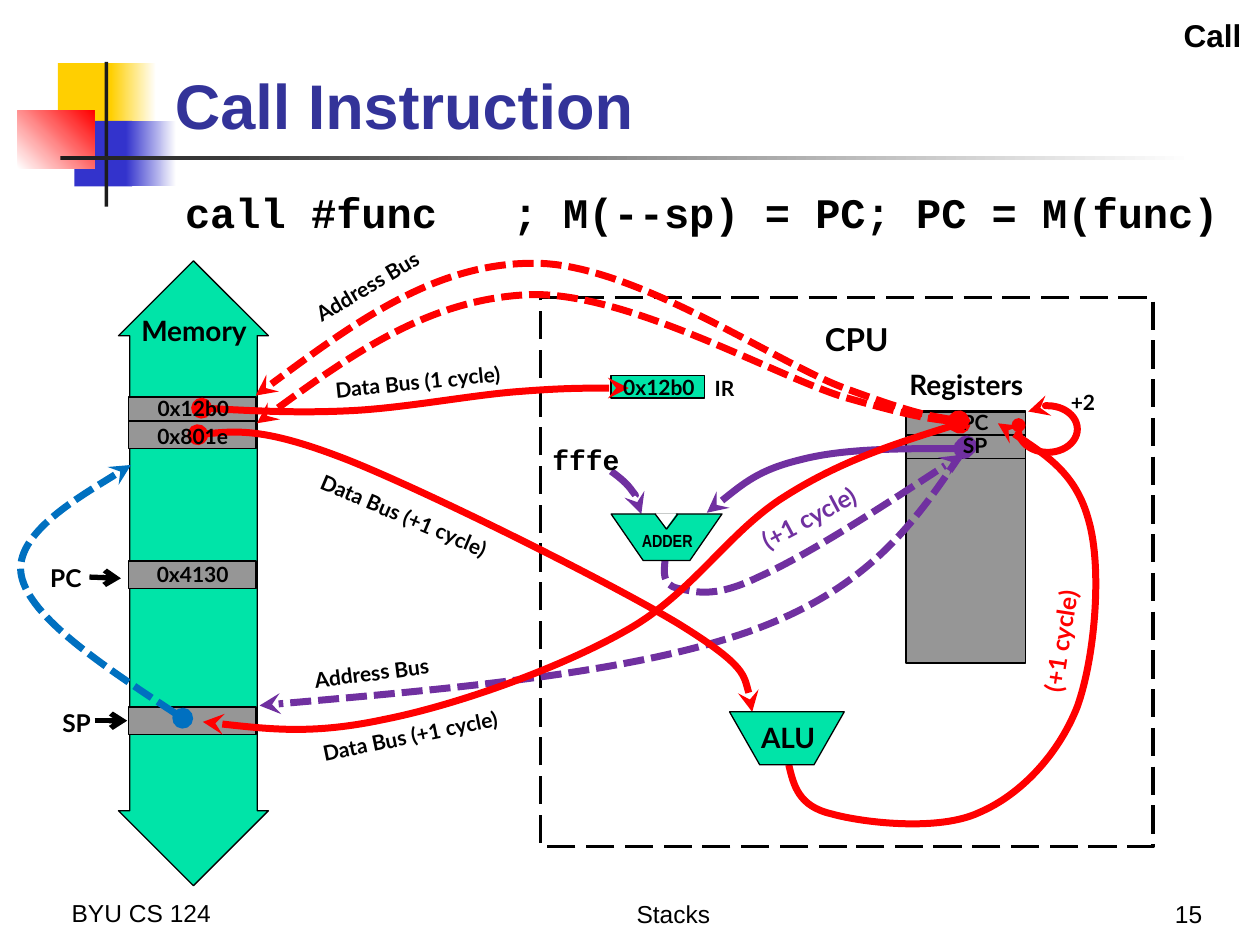
"""Build the Call Instruction slide with its memory and CPU bus diagram."""
from lxml.etree import SubElement
from pptx import Presentation
from pptx.dml.color import RGBColor
from pptx.enum.dml import MSO_LINE
from pptx.enum.shapes import MSO_CONNECTOR, MSO_SHAPE
from pptx.enum.text import MSO_ANCHOR, PP_ALIGN
from pptx.oxml.ns import qn
from pptx.util import Inches, Pt

BLACK = RGBColor(0x00, 0x00, 0x00)
WHITE = RGBColor(0xFF, 0xFF, 0xFF)
CHARCOAL = RGBColor(0x1C, 0x1C, 0x1C)
GRAY = RGBColor(0x96, 0x96, 0x96)
GREEN = RGBColor(0x00, 0xE4, 0xA8)
RED = RGBColor(0xFF, 0x00, 0x00)
PURPLE = RGBColor(0x70, 0x30, 0xA0)
BLUE = RGBColor(0x00, 0x70, 0xC0)
INDIGO = RGBColor(0x33, 0x33, 0xCC)
TITLE_BLUE = RGBColor(0x33, 0x33, 0x99)
YELLOW = RGBColor(0xFF, 0xCF, 0x01)

LEFT, CENTER, RIGHT = PP_ALIGN.LEFT, PP_ALIGN.CENTER, PP_ALIGN.RIGHT
RECT = MSO_SHAPE.RECTANGLE

DECORATION = [
    ((0.46, 0.5, 0.48, 0.52), (YELLOW,), 0),
    ((0.88, 0.5, 0.36, 0.52), (YELLOW, WHITE), 0),
    ((0.59, 0.96, 0.46, 0.52), (INDIGO,), 0),
    ((1, 0.96, 0.4, 0.52), (INDIGO, WHITE), 0),
    ((0.14, 0.88, 0.61, 0.46), (WHITE, RED), 45),
    ((0.83, 0.49, 0.03, 1.15), (CHARCOAL,), 0),
    ((0.48, 1.24, 9, 0.03), (CHARCOAL, WHITE), 0),
]

MEMORY_CELLS = [(3.15, 0.19), (3.34, 0.22), (4.45, 0.22), (5.61, 0.22)]
REGISTER_CELLS = [(3.26, 2), (3.27, 0.19), (3.45, 0.19)]

POINTERS = [((0.71, 4.58), (0.96, 4.59)), ((0.75, 5.72), (1.01, 5.72))]
NOTCH_EDGES = [((5.38, 4.08), (5.29, 4.2)), ((5.2, 4.08), (5.29, 4.2))]

DATA_CURVES = [
    (RED, False, True, [(1.6, 3.24), (1.99, 3.26), (2.37, 3.28), (2.78, 3.26), (3.2, 3.24),
                        (3.72, 3.14), (4.09, 3.11), (4.46, 3.08), (4.72, 3.08), (4.99, 3.08)]),
    (PURPLE, False, True, [(7.65, 3.56), (7.17, 3.56), (6.69, 3.56), (6.35, 3.65),
                           (6.02, 3.73), (5.82, 3.9), (5.61, 4.07)]),
    (PURPLE, False, False, [(4.85, 3.74), (4.92, 3.79), (4.98, 3.84), (5.02, 3.9),
                            (5.06, 3.95), (5.07, 4.01), (5.09, 4.08)]),
    (PURPLE, True, False, [(5.28, 4.43), (5.27, 4.54), (5.25, 4.64), (5.38, 4.67), (5.5, 4.69),
                           (5.65, 4.76), (6.02, 4.58), (6.4, 4.41), (7.02, 4.01), (7.63, 3.61)]),
    (PURPLE, True, True, [(7.67, 3.54), (7.29, 4.1), (6.91, 4.66), (5.98, 5),
                          (5.04, 5.34), (3.55, 5.47), (2.06, 5.6)]),
    (RED, False, True, [(7.62, 3.36), (7.14, 3.51), (6.67, 3.66), (6.23, 3.94), (5.78, 4.22),
                        (5.49, 4.72), (4.96, 5.01), (4.43, 5.31), (3.61, 5.6), (3.05, 5.71),
                        (2.49, 5.83), (2.05, 5.78), (1.61, 5.73)]),
    (RED, False, True, [(1.57, 3.45), (1.85, 3.42), (2.12, 3.4), (2.76, 3.65), (3.39, 3.9),
                        (4.86, 4.63), (5.4, 4.96), (5.93, 5.29), (5.95, 5.47), (5.97, 5.65)]),
    (RED, False, False, [(6.26, 6.07), (6.3, 6.24), (6.34, 6.4), (6.6, 6.46), (6.85, 6.53),
                         (7.45, 6.6), (7.77, 6.45), (8.1, 6.31), (8.4, 5.99), (8.55, 5.61),
                         (8.69, 5.22), (8.75, 4.51), (8.64, 4.13), (8.54, 3.76),
                         (8.23, 3.56), (7.92, 3.36)]),
    (BLUE, True, True, [(1.45, 5.7), (0.84, 5.3), (0.24, 4.9), (0.17, 4.57),
                        (0.1, 4.23), (1.04, 3.69), (1.04, 3.69)]),
]
ADDRESS_CURVES = [
    (RED, True, True, [(7.6, 3.35), (7.43, 3.33), (7.25, 3.31), (6.69, 3.15), (6.12, 2.97),
                       (4.95, 2.3), (4.18, 2.34), (3.4, 2.38), (2.72, 2.86), (2.04, 3.36)]),
    (RED, True, True, [(7.61, 3.34), (7.44, 3.31), (7.27, 3.29), (6.7, 3.08), (6.14, 2.87),
                       (5.01, 2.08), (4.23, 2.09), (3.45, 2.09), (2.73, 2.62), (2.03, 3.14)]),
]

HEADINGS = [
    ("Call", (5.93, 0.08, 4.02, 0.4), 18, dict(font="Arial", align=RIGHT)),
    ("Call Instruction", (1.29, 0.23, 8.71, 0.95), 36,
     dict(font="Arial", color=TITLE_BLUE, align=LEFT, bottom=True)),
    ("call #func   ; M(--sp) = PC; PC = M(func)", (1.37, 1.43, 8.58, 0.5), 24,
     dict(font="Courier New", align=LEFT)),
]
FOOTERS = [
    ("BYU CS 124", (0.47, 6.72, 2.08, 0.69), LEFT),
    ("Stacks", (2.78, 6.92, 5.13, 0.5), CENTER),
    ("15", (7.56, 6.92, 2.08, 0.5), RIGHT),
]
LABELS = [
    ("Memory", (0.87, 2.44, 1.34, 0.37), 16, {}),
    ("Registers", (7, 2.87, 1.34, 0.37), 16, {}),
    ("CPU", (6.13, 2.49, 1.34, 0.4), 18, {}),
    ("IR", (5.47, 2.93, 0.56, 0.3), 12, {}),
    ("Data Bus (1 cycle)", (2.37, 2.88, 1.89, 0.3), 12, dict(turn=354.2)),
    ("0x12b0", (4.88, 2.97, 0.7, 0.2), 12, dict(inset=False)),
    ("0x12b0", (1.18, 3.14, 0.71, 0.2), 12, dict(inset=False)),
    ("0x801e", (1.21, 3.36, 0.64, 0.2), 12, dict(inset=False)),
    ("0x4130", (1.21, 4.46, 0.64, 0.2), 12, dict(inset=False)),
    ("fffe", (4.28, 3.46, 0.74, 0.37), 16, dict(font="Courier New", wrap=False)),
    ("(+1 cycle)", (5.81, 3.94, 1.22, 0.34), 14, dict(color=PURPLE, turn=332, wrap=False)),
    ("(+1 cycle)", (7.81, 4.92, 1.22, 0.34), 14, dict(color=RED, turn=278.9, wrap=False)),
    ("Address Bus", (1.94, 5.19, 2.02, 0.3), 12, dict(turn=352.8)),
    ("Address Bus", (2.23, 2.11, 1.44, 0.44), 12, dict(turn=329.5)),
    ("Data Bus (+1 cycle)", (2.21, 5.69, 2.09, 0.3), 12, dict(turn=348.4)),
    ("Data Bus (+1 cycle)", (2.12, 3.94, 2.17, 0.3), 12, dict(turn=22.9)),
    ("PC", (0.3, 4.42, 0.72, 0.34), 14, dict(align=LEFT)),
    ("SP", (0.31, 5.57, 0.51, 0.34), 14, dict(align=RIGHT)),
    ("ALU", (5.92, 5.67, 0.67, 0.37), 16, {}),
    ("ADDER", (5.09, 4.21, 0.41, 0.17), 10, dict(font="Arial Narrow", inset=False)),
    ("PC", (7.46, 3.2, 0.56, 0.3), 12, {}),
    ("SP", (7.46, 3.38, 0.56, 0.3), 12, {}),
    ("+2", (8.35, 3.04, 0.49, 0.3), 12, {}),
]


def add_block(page, kind, place, fill=None, line=None, width=0.75, adjust=None, flip=False):
    block = page.shapes.add_shape(kind, *map(Inches, place))
    block.shadow.inherit = False
    if adjust:
        guides = next(block.element.iter(qn("a:avLst")))
        guides.clear()
        for name, value in adjust.items():
            SubElement(guides, qn("a:gd"), name=name, fmla=f"val {round(value * 100000)}")
    if flip:
        block.element.spPr.xfrm.set("flipV", "1")
    paint(block.fill, fill)
    paint(block.line.fill, line)
    if line is not None:
        block.line.width = Pt(width)
    return block


def paint(fill, color):
    if color is None:
        fill.background()
    else:
        fill.solid()
        fill.fore_color.rgb = color


def add_decoration(page, place, colors, angle):
    block = add_block(page, RECT, place, colors[0])
    if len(colors) > 1:
        block.fill.gradient()
        block.fill.gradient_angle = angle
        for position, (stop, color) in enumerate(zip(block.fill.gradient_stops, colors)):
            stop.color.rgb = color
            stop.position = position


def add_ends(shape, head=None, tail=None, **tail_size):
    outline = shape.element.spPr.find(qn("a:ln"))
    if head:
        SubElement(outline, qn("a:headEnd"), type=head)
    if tail:
        SubElement(outline, qn("a:tailEnd"), type=tail, **tail_size)


def add_line(page, start, end, width, tail=None):
    line = page.shapes.add_connector(MSO_CONNECTOR.STRAIGHT, *map(Inches, start + end))
    line.line.color.rgb = BLACK
    line.line.width = Pt(width)
    add_ends(line, tail=tail)
    SubElement(line.element.spPr, qn("a:effectLst"))


def add_curve(page, color, dashed, dotted_start, points):
    start, *rest = [(Inches(x), Inches(y)) for x, y in points]
    builder = page.shapes.build_freeform(*start)
    builder.add_line_segments(rest, close=False)
    curve = builder.convert_to_shape()
    outline = next(curve.element.iter(qn("a:path")))
    segments = outline.findall(qn("a:lnTo"))
    for first in range(0, len(segments), 3):
        bezier = SubElement(outline, qn("a:cubicBezTo"))
        for segment in segments[first:first + 3]:
            bezier.append(segment[0])
            outline.remove(segment)
    curve.shadow.inherit = False
    curve.fill.background()
    curve.line.color.rgb = color
    curve.line.width = Pt(4)
    if dashed:
        curve.line.dash_style = MSO_LINE.SQUARE_DOT
    add_ends(curve, "oval" if dotted_start else None, "stealth")


def add_label(page, text, place, size, font="Lato", color=BLACK, align=CENTER, bold=True,
              turn=0, wrap=True, inset=True, bottom=False):
    box = page.shapes.add_textbox(*map(Inches, place))
    box.rotation = turn
    frame = box.text_frame
    frame.word_wrap = wrap
    if bottom:
        frame.vertical_anchor = MSO_ANCHOR.BOTTOM
    if not inset:
        frame.margin_left = frame.margin_right = frame.margin_top = frame.margin_bottom = 0
    para = frame.paragraphs[0]
    para.alignment = align
    span = para.add_run()
    span.text = text
    span.font.name, span.font.size, span.font.bold = font, Pt(size), bold
    span.font.color.rgb = color


def main():
    deck = Presentation()
    deck.slide_width, deck.slide_height = Inches(10), Inches(7.5)
    page = deck.slides.add_slide(deck.slide_layouts[6])
    for item in DECORATION:
        add_decoration(page, *item)
    for text, place, size, style in HEADINGS:
        add_label(page, text, place, size, **style)
    for text, place, align in FOOTERS:
        add_label(page, text, place, 14, font="Arial", align=align, bold=False, bottom=True)

    add_block(page, MSO_SHAPE.UP_DOWN_ARROW, (0.94, 2.07, 1.19, 4.96), GREEN, BLACK,
              adjust=dict(adj1=0.85, adj2=0.5))
    for left, width, cells in ((1.02, 1.01, MEMORY_CELLS), (7.19, 0.95, REGISTER_CELLS)):
        for top, height in cells:
            add_block(page, RECT, (left, top, width, height), GRAY, BLACK, 1)
    cpu = add_block(page, RECT, (4.29, 2.36, 4.86, 4.36), None, BLACK, 2)
    cpu.line.dash_style = MSO_LINE.LONG_DASH
    add_block(page, RECT, (4.85, 2.98, 0.74, 0.18), GREEN, BLACK)
    for start, end in POINTERS:
        add_line(page, start, end, 3, "arrow")

    for curve in DATA_CURVES:
        add_curve(page, *curve)
    for place, slant in (((5.79, 5.65, 0.91, 0.42), 0.57), ((4.85, 4.08, 0.88, 0.37), 0.69)):
        add_block(page, MSO_SHAPE.TRAPEZOID, place, GREEN, BLACK,
                  adjust=dict(adj=slant), flip=True)
    add_block(page, MSO_SHAPE.ISOSCELES_TRIANGLE, (5.21, 4.08, 0.15, 0.1), WHITE, WHITE,
              adjust=dict(adj=0.52), flip=True)
    for start, end in NOTCH_EDGES:
        add_line(page, start, end, 0.75)

    for text, place, size, style in LABELS:
        add_label(page, text, place, size, **style)
    for curve in ADDRESS_CURVES:
        add_curve(page, *curve)
    loop = add_block(page, MSO_SHAPE.ARC, (8.08, 3.22, 0.47, 0.37), None, RED, 4,
                     adjust=dict(adj1=25.23, adj2=4.59))
    loop.rotation = 180
    add_ends(loop, "stealth", "oval", w="sm", len="sm")
    deck.save("out.pptx")


if __name__ == "__main__":
    main()
